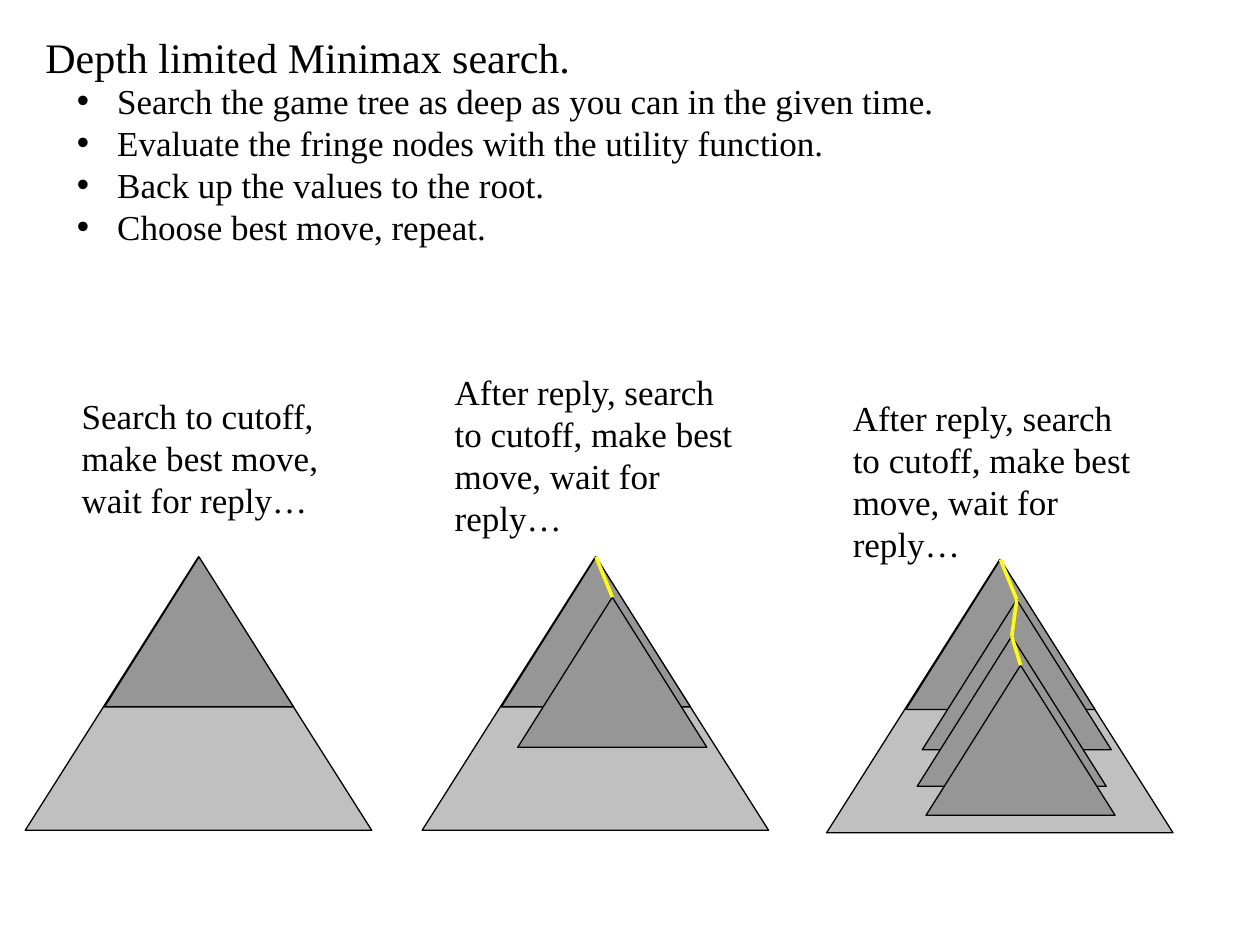
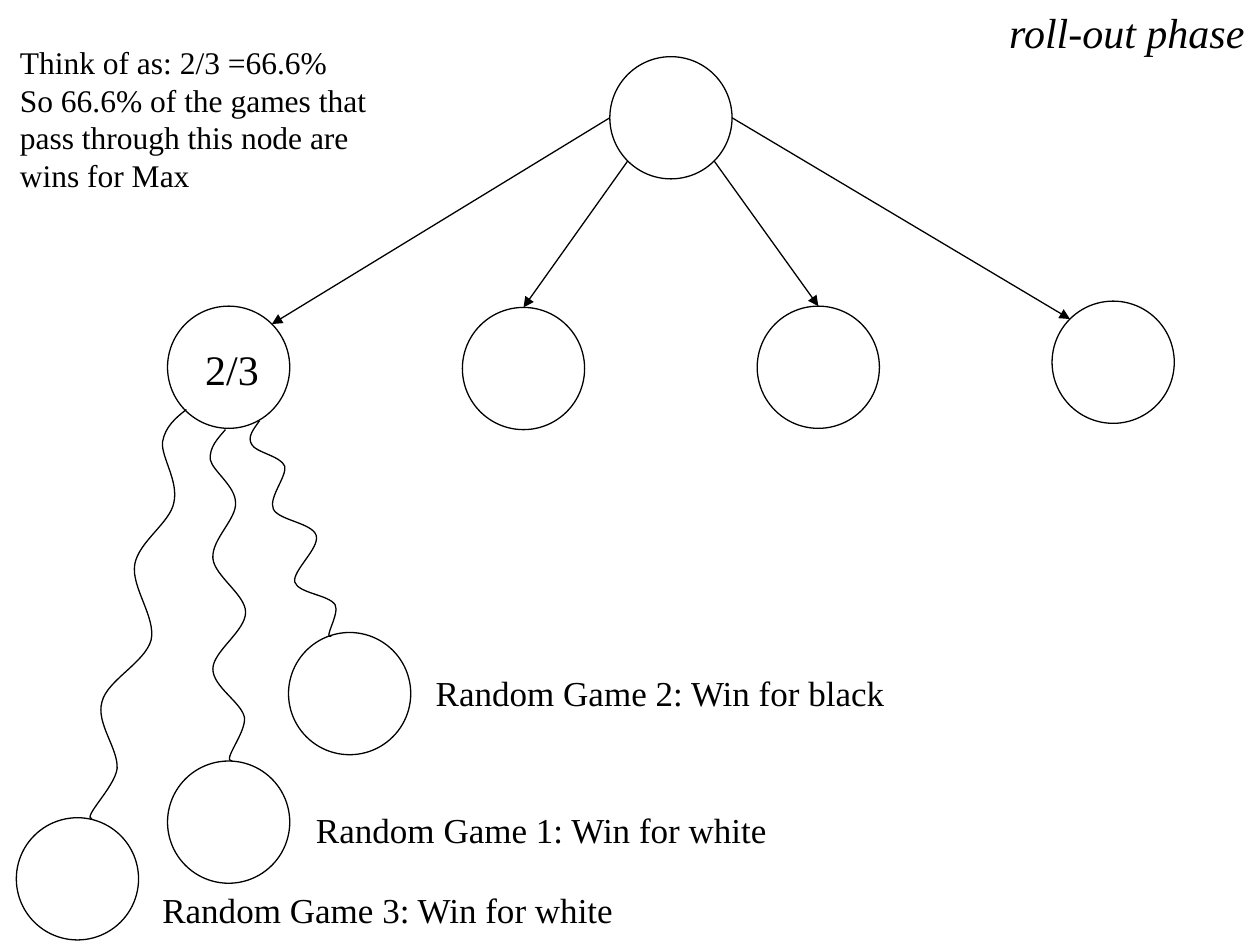
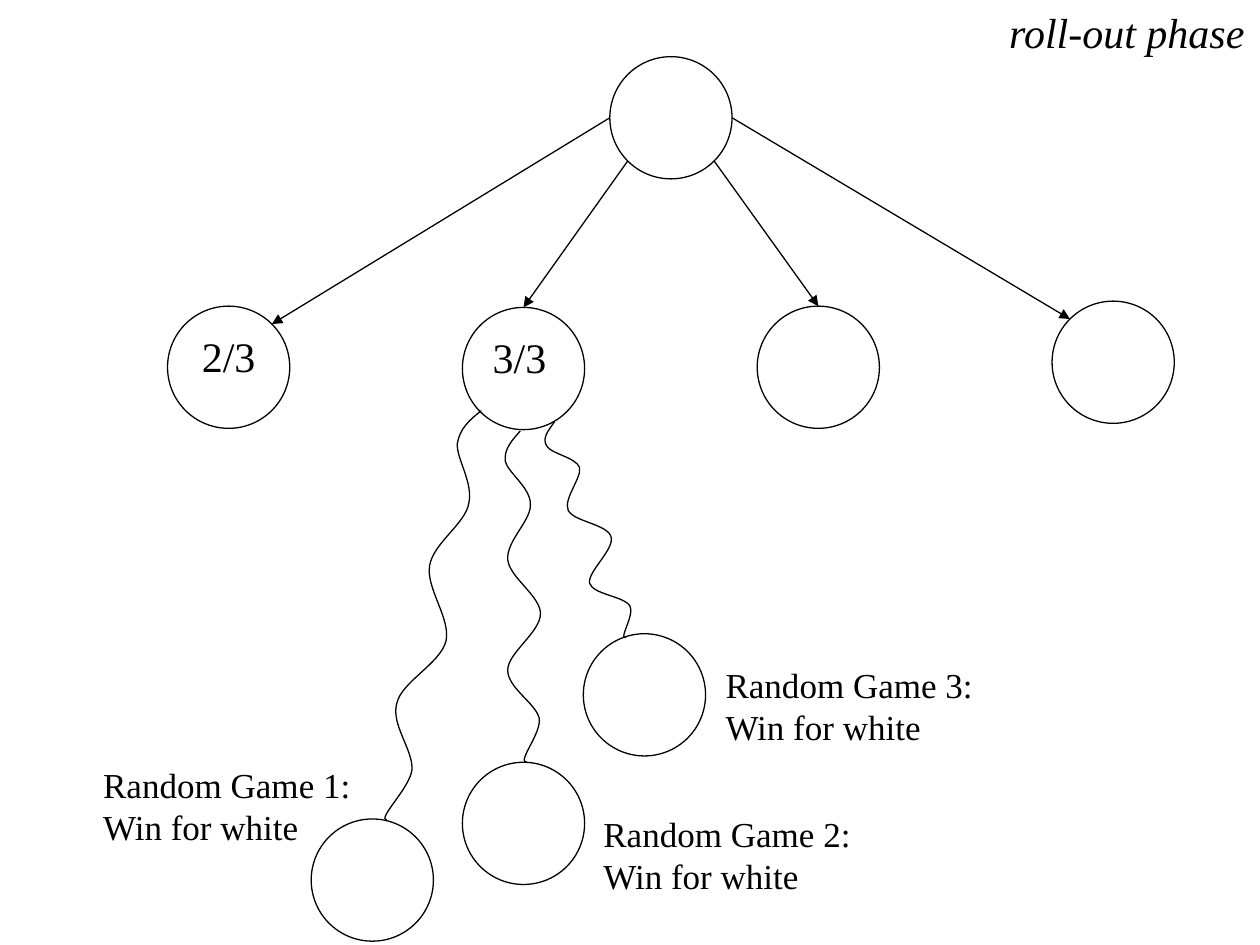
import math
from itertools import pairwise

from lxml import etree
from pptx import Presentation
from pptx.dml.color import RGBColor
from pptx.enum import shapes as kinds, text as styles
from pptx.oxml import ns
from pptx.util import Inches, Pt

FONT = "Times New Roman"
BLACK, LIGHT, DARK, YELLOW = "000000", "C0C0C0", "969696", "FFFF00"

# Search trees: sizes, and cutoff triangles as offsets from the tree's corner
TREE_SIZE = (2.75, 2.17)
CUTOFF_SIZE = (1.5, 1.19)
CUTOFFS = [(0.63, 0), (0.76, 0.32), (0.72, 0.61), (0.79, 0.84)]

# Game tree: node diameter, corners, and the angles where each arrow starts and ends
NODE = 0.97
ROOT = (4.84, 0.45)
CHILDREN = [(1.33, 2.43), (3.67, 2.44), (6.01, 2.43), (8.35, 2.39)]
ARROW_ANGLES = [(180, -45), (135, -90), (45, -90), (0, -135)]

# Roll-outs: game corner and curve (start, then Bezier triples), from the node's corner
ROLLOUTS = [
    ((0, 3.61), [
        (0.46, 0.98), (0.4, 1.05), (0.33, 1.12), (0.34, 1.22),
        (0.36, 1.31), (0.54, 1.43), (0.54, 1.56), (0.55, 1.69), (0.35, 1.85), (0.36, 2),
        (0.37, 2.14), (0.62, 2.29), (0.62, 2.43), (0.62, 2.58), (0.36, 2.74), (0.36, 2.88),
        (0.36, 3.02), (0.58, 3.14), (0.61, 3.26), (0.63, 3.38), (0.43, 3.61), (0.51, 3.61)]),
    ((0.96, 2.59), [
        (0.73, 0.91), (0.68, 0.98), (0.63, 1.04), (0.67, 1.1),
        (0.7, 1.16), (0.9, 1.19), (0.93, 1.27), (0.95, 1.35), (0.8, 1.52), (0.84, 1.61),
        (0.88, 1.7), (1.15, 1.72), (1.18, 1.82), (1.21, 1.92), (0.99, 2.1), (1.01, 2.19),
        (1.04, 2.28), (1.28, 2.29), (1.33, 2.37), (1.37, 2.44), (1.23, 2.65), (1.3, 2.62)]),
    ((-1.2, 4.06), [
        (0.15, 0.82), (0.06, 0.89), (-0.02, 0.96), (-0.04, 1.08),
        (-0.05, 1.2), (0.09, 1.39), (0.05, 1.56), (0.02, 1.72), (-0.23, 1.87), (-0.26, 2.05),
        (-0.29, 2.23), (-0.09, 2.47), (-0.13, 2.65), (-0.18, 2.83), (-0.48, 2.97), (-0.52, 3.14),
        (-0.57, 3.31), (-0.39, 3.51), (-0.4, 3.67), (-0.42, 3.82), (-0.68, 4.06), (-0.6, 4.07)]),
]


def color(value):
    return RGBColor.from_string(value)


def shift(corner, offset):
    return corner[0] + offset[0], corner[1] + offset[1]


def write(frame, lines, size, italic=False, wrap=True, align=styles.PP_ALIGN.LEFT):
    """Fill a text frame with one paragraph per line."""
    frame.word_wrap = wrap
    frame.auto_size = styles.MSO_AUTO_SIZE.NONE
    frame.vertical_anchor = styles.MSO_ANCHOR.TOP
    for index, line in enumerate(lines):
        para = frame.paragraphs[0] if index == 0 else frame.add_paragraph()
        para.alignment = align
        para.space_before = Pt(0)
        span = para.add_run()
        span.text = line
        span.font.name, span.font.size, span.font.italic = FONT, Pt(size), italic
        span.font.color.rgb = color(BLACK)


def place(shape, left, top, width, height):
    shape.left, shape.top = Inches(left), Inches(top)
    shape.width, shape.height = Inches(width), Inches(height)


def add_title(page, box, line, **style):
    place(page.shapes.title, *box)
    write(page.shapes.title.text_frame, [line], 24, **style)


def add_text(page, box, lines, size=20, **style):
    label = page.shapes.add_textbox(*map(Inches, box))
    write(label.text_frame, lines, size, **style)


def outline(shape, fill=None):
    shape.shadow.inherit = False
    if fill:
        shape.fill.solid()
        shape.fill.fore_color.rgb = color(fill)
    else:
        shape.fill.background()
    shape.line.color.rgb = color(BLACK)
    shape.line.width = Pt(0.75)


def add_triangle(page, corner, size, fill):
    outline(page.shapes.add_shape(kinds.MSO_SHAPE.ISOSCELES_TRIANGLE,
                                  *map(Inches, corner + size)), fill)


def add_node(page, corner):
    node = page.shapes.add_shape(kinds.MSO_SHAPE.OVAL,
                                 *map(Inches, corner + (NODE, NODE)))
    outline(node)
    return node


def add_line(page, start, end, stroke=BLACK, width=0.75, arrow=False):
    line = page.shapes.add_connector(kinds.MSO_CONNECTOR.STRAIGHT,
                                     *map(Inches, start + end))
    line.line.color.rgb = color(stroke)
    line.line.width = Pt(width)
    if arrow:
        etree.SubElement(line.line._get_or_add_ln(), ns.qn("a:tailEnd"), type="triangle")
    etree.SubElement(line._element.spPr, ns.qn("a:effectLst"))


def add_curve(page, points):
    """Draw a start point and Bezier triples as one open curve."""
    start, *rest = [tuple(map(Inches, point)) for point in points]
    builder = page.shapes.build_freeform(*start)
    builder.add_line_segments(rest, close=False)
    curve = builder.convert_to_shape()
    outline(curve)
    # Merge each three straight segments into one cubic segment
    segments = curve._element.findall(".//" + ns.qn("a:lnTo"))
    for first in range(0, len(segments), 3):
        cubic, *others = segments[first:first + 3]
        cubic.tag = ns.qn("a:cubicBezTo")
        for other in others:
            cubic.append(other[0])
            other.getparent().remove(other)


def add_search_tree(page, corner, depth, caption, caption_offset, caption_height):
    """A game tree with `depth` nested searches and the moves that join them."""
    add_triangle(page, corner, TREE_SIZE, LIGHT)
    cutoffs = [shift(corner, offset) for offset in CUTOFFS[:depth]]
    for cutoff in cutoffs:
        add_triangle(page, cutoff, CUTOFF_SIZE, DARK)
    add_text(page, shift(corner, caption_offset) + (2.44, caption_height), [caption])
    apexes = [shift(cutoff, (CUTOFF_SIZE[0] / 2, 0)) for cutoff in cutoffs]
    for start, end in pairwise(apexes):
        add_line(page, start, end, YELLOW, 2)


def rim(corner, angle):
    """The point on a node's outline at an angle, clockwise from the right."""
    radius, turn = NODE / 2, math.radians(angle)
    return shift(corner, (radius * (1 + math.cos(turn)), radius * (1 + math.sin(turn))))


def add_game_tree(page):
    """Root, four children and arrows; returns the child nodes."""
    add_node(page, ROOT)
    children = [add_node(page, corner) for corner in CHILDREN]
    for corner, (leave, arrive) in zip(CHILDREN, ARROW_ANGLES):
        add_line(page, rim(ROOT, leave), rim(corner, arrive), arrow=True)
    return children


def add_rollouts(page, corner, labels):
    """Three random games below a node, each with a label box and text."""
    for (game, curve), (box, label) in zip(ROLLOUTS, labels):
        add_node(page, shift(corner, game))
        add_curve(page, [shift(corner, point) for point in curve])
        add_text(page, shift(corner, box[:2]) + box[2:], [label])


def minimax_slide(deck):
    page = deck.slides.add_slide(deck.slide_layouts[1])
    add_title(page, (0.26, 0.2, 9.08, 0.45), "Depth limited Minimax search.")

    # Bulleted steps
    steps = page.placeholders[1]
    place(steps, 0.26, 0.58, 9.08, 1.45)
    write(steps.text_frame, [
        "Search the game tree as deep as you can in the given time.",
        "Evaluate the fringe nodes with the utility function.",
        "Back up the values to the root.",
        "Choose best move, repeat.",
    ], 20)
    for para in steps.text_frame.paragraphs:
        indents = para._p.get_or_add_pPr()
        indents.set("marL", str(Inches(0.57)))
        indents.set("indent", str(Inches(-0.32)))

    # Three stages of the search
    reply = "After reply, search to cutoff, make best move, wait for reply…"
    add_search_tree(page, (0.2, 4.42), 1, "Search to cutoff, make best move, wait for reply…",
                    (0.35, -1.34), 1.11)
    add_search_tree(page, (3.35, 4.42), 2, reply, (0.16, -1.53), 1.45)
    add_search_tree(page, (6.56, 4.44), 4, reply, (0.11, -1.34), 1.45)


def rollout_slide(deck, active, labels):
    """A game tree with roll-outs under the child numbered `active`."""
    page = deck.slides.add_slide(deck.slide_layouts[5])
    add_title(page, (7.91, 0, 2.09, 0.5), "roll-out phase", italic=True, wrap=False)
    children = add_game_tree(page)
    add_rollouts(page, CHILDREN[active], labels)
    return page, children


def main():
    deck = Presentation()
    deck.slide_width, deck.slide_height = Inches(10), Inches(7.5)
    minimax_slide(deck)

    # First child explored
    page, _ = rollout_slide(deck, 0, [
        ((1.08, 3.94, 3.8, 0.44), "Random Game 1: Win for white"),
        ((2.03, 2.85, 3.8, 0.44), "Random Game 2: Win for black"),
        ((-0.14, 4.57, 3.8, 0.44), "Random Game 3: Win for white"),
    ])
    add_text(page, (1.53, 2.68, 0.63, 0.5), ["2/3"], 24, wrap=False)
    add_text(page, (0.06, 0.29, 3, 1.31), [
        "Think of as: 2/3 =66.6%",
        "So 66.6% of the games that pass through this node are wins for Max",
    ], 18)

    # Second child explored
    _, children = rollout_slide(deck, 1, [
        ((1.02, 3.96, 2.28, 0.77), "Random Game 2: Win for white"),
        ((1.99, 2.78, 2.28, 0.77), "Random Game 3: Win for white"),
        ((-2.95, 3.57, 2.22, 0.77), "Random Game 1: Win for white"),
    ])
    write(children[0].text_frame, ["2/3"], 24, align=styles.PP_ALIGN.CENTER)
    write(children[1].text_frame, ["3/3"], 24)

    deck.save("out.pptx")


if __name__ == "__main__":
    main()
